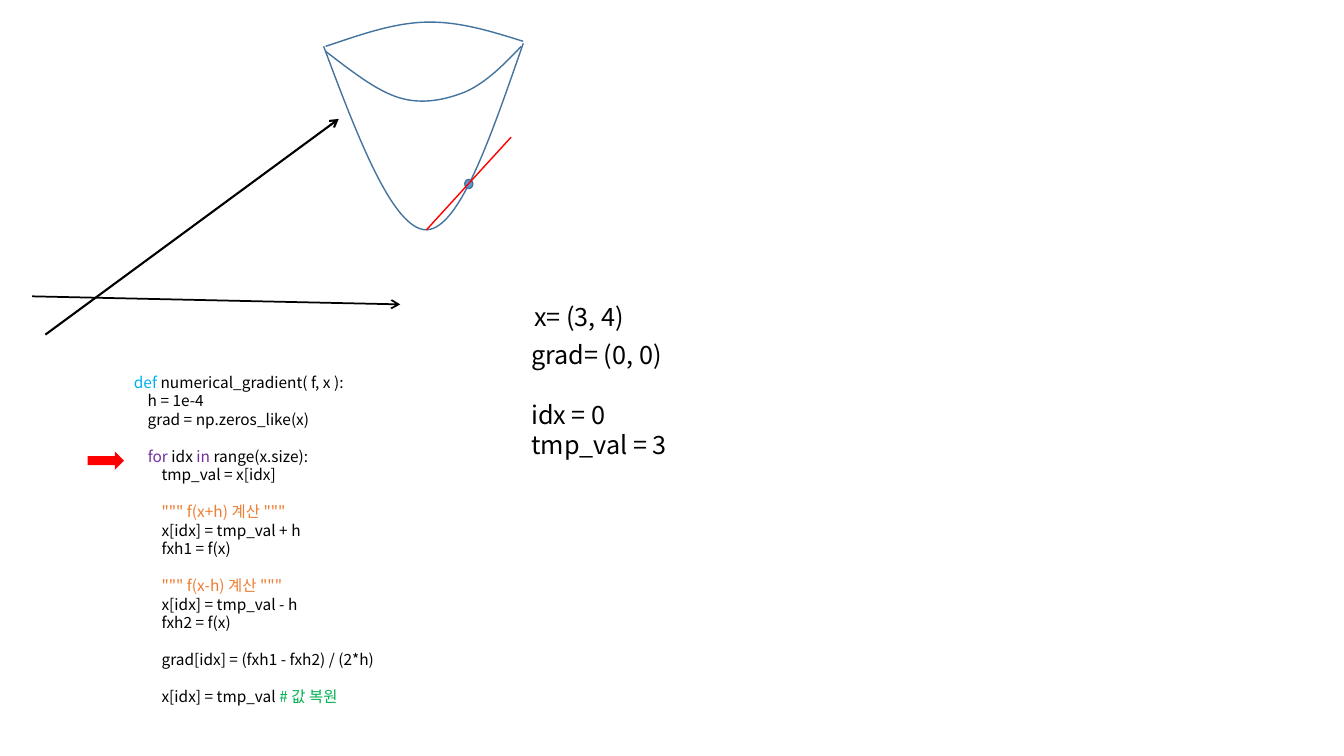
from collections import namedtuple
from dataclasses import dataclass

from lxml import etree
from pptx import Presentation
from pptx import util as u
from pptx.dml.color import RGBColor
from pptx.enum import shapes, text
from pptx.oxml.ns import qn

PX = 9144  # EMU in one px, 100 px to the inch
Box = namedtuple("Box", "left top width height")


@dataclass(frozen=True)
class Theme:
    font: str = "Noto Sans CJK KR"
    ink: str = "000000"
    curve: str = "43739E"
    dot: str = "5B9BD5"
    accent: str = "FF0000"
    define: str = "00B0F0"
    keyword: str = "7030A0"
    docstring: str = "ED7D31"
    remark: str = "00B050"
    code_size: float = 11
    code_pitch: float = 13.2
    value_size: float = 18
    value_pitch: float = 21.5


THEME = Theme()

# Lines of (has a gap above, [(wording, colour), ...])
CODE = [
    (False, [("def ", THEME.define), ("numerical_gradient( f, x ):", THEME.ink)]),
    (False, [("    h = 1e-4", THEME.ink)]),
    (False, [("    grad = np.zeros_like(x)", THEME.ink)]),
    (True, [("    ", THEME.ink), ("for ", THEME.keyword), ("idx ", THEME.ink),
            ("in", THEME.keyword), (" range(x.size):", THEME.ink)]),
    (False, [("        tmp_val = x[idx]", THEME.ink)]),
    (True, [('        """ f(x+h) 계산 """', THEME.docstring)]),
    (False, [("        x[idx] = tmp_val + h", THEME.ink)]),
    (False, [("        fxh1 = f(x)", THEME.ink)]),
    (True, [('        """ f(x-h) 계산 """', THEME.docstring)]),
    (False, [("        x[idx] = tmp_val - h", THEME.ink)]),
    (False, [("        fxh2 = f(x)", THEME.ink)]),
    (True, [("        grad[idx] = (fxh1 - fxh2) / (2*h)", THEME.ink)]),
    (True, [("        x[idx] = tmp_val ", THEME.ink), ("# 값 복원", THEME.remark)]),
]
POINT = [(False, [("x= (3, 4)", THEME.ink)])]
STATE = [
    (False, [("grad= (0, 0)", THEME.ink)]),
    (True, [("idx = 0", THEME.ink)]),
    (False, [("tmp_val = 3", THEME.ink)]),
]

# Bezier points, three after the start for each stretch
BOWL_CURVES = [
    [(289, 24), (323, 115), (358, 206), (391, 206),
     (424, 205), (455, 113), (487, 21)],
    [(291, 29), (316, 48), (341, 68), (364, 75), (387, 82),
     (410, 77), (430, 69), (450, 60), (468, 42), (485, 24)],
    [(291, 24), (324, 13), (357, 1), (390, 0),
     (423, -1), (455, 9), (487, 19)],
]


def rgb(colour):
    return RGBColor.from_string(colour)


def set_line(line, colour, width):
    line.color.rgb = rgb(colour)
    line.width = u.Pt(width)


def add_preset(slide, preset, box, fill, outline=None):
    mark = slide.shapes.add_shape(preset, *(n * PX for n in box))
    mark.shadow.inherit = False
    mark.fill.solid()
    mark.fill.fore_color.rgb = rgb(fill)
    if outline:
        set_line(mark.line, outline, 1)
    else:
        mark.line.fill.background()


def add_straight(slide, box, start, end, colour, width, arrow=False):
    ends = [(box.left + x, box.top + y) for x, y in (start, end)]
    straight = slide.shapes.add_connector(
        shapes.MSO_CONNECTOR.STRAIGHT, *(n * PX for point in ends for n in point))
    set_line(straight.line, colour, width)
    properties = straight._element.spPr
    if arrow:
        etree.SubElement(properties.find(qn("a:ln")), qn("a:tailEnd"), type="arrow")
    etree.SubElement(properties, qn("a:effectLst"))


def add_curve(slide, box, points):
    builder = slide.shapes.build_freeform(*points[0], scale=PX)
    builder.add_line_segments(points[1:], close=False)
    curve = builder.convert_to_shape(box.left * PX, box.top * PX)
    curve.shadow.inherit = False
    curve.fill.background()
    set_line(curve.line, THEME.curve, 1)
    # Join each three straight segments into one Bezier stretch
    outline = curve._element.find(".//" + qn("a:path"))
    segments = outline.findall(qn("a:lnTo"))
    for first in range(0, len(segments), 3):
        stretch = etree.SubElement(outline, qn("a:cubicBezTo"))
        for segment in segments[first:first + 3]:
            stretch.append(segment[0])
            outline.remove(segment)


def add_lines(slide, box, lines, size, pitch):
    frame = slide.shapes.add_textbox(*(n * PX for n in box)).text_frame
    frame.word_wrap = True
    frame.auto_size = text.MSO_AUTO_SIZE.NONE
    for number, (gap, runs) in enumerate(lines):
        line = frame.add_paragraph() if number else frame.paragraphs[0]
        spacing = {"line_spacing": u.Pt(pitch),
                   "space_before": u.Pt(pitch if gap else 0)}
        for name, value in spacing.items():
            setattr(line, name, value)
        for wording, colour in runs:
            run = line.add_run()
            run.text = wording
            for name, value in {"name": THEME.font, "size": u.Pt(size)}.items():
                setattr(run.font, name, value)
            run.font.color.rgb = rgb(colour)
            etree.SubElement(run._r.get_or_add_rPr(), qn("a:ea"), typeface=THEME.font)


def draw_surface(slide, box):
    # Axes
    add_straight(slide, box, (13, 310), (304, 96), THEME.ink, 1.5, arrow=True)
    add_straight(slide, box, (0, 272), (365, 280), THEME.ink, 1.25, arrow=True)
    # Bowl
    for points in BOWL_CURVES:
        add_curve(slide, box, points)
    # Point and its tangent
    add_preset(slide, shapes.MSO_SHAPE.OVAL,
               Box(box.left + 429, box.top + 156, 8, 9), THEME.dot, THEME.curve)
    add_straight(slide, box, (475, 114), (391, 206), THEME.accent, 1)


def draw_code(slide, box):
    margin = 36
    add_lines(slide, Box(box.left + margin, box.top, box.width - margin, box.height),
              CODE, THEME.code_size, THEME.code_pitch)
    # Marker of the current line
    add_preset(slide, shapes.MSO_SHAPE.RIGHT_ARROW,
               Box(box.left, box.top + 83, margin, 18), THEME.accent)


def draw_values(slide, box):
    add_lines(slide, Box(box.left + 3, box.top, 121, 40),
              POINT, THEME.value_size, THEME.value_pitch)
    add_lines(slide, Box(box.left, box.top + 38, box.width, box.height - 38),
              STATE, THEME.value_size, THEME.value_pitch)


def main():
    deck = Presentation()
    deck.slide_width, deck.slide_height = 1333 * PX, 750 * PX
    slide = deck.slides.add_slide(deck.slide_layouts[6])
    draw_surface(slide, Box(32, 22, 487, 310))
    draw_code(slide, Box(87, 365, 405, 362))
    draw_values(slide, Box(517, 294, 211, 200))
    deck.save("out.pptx")


if __name__ == "__main__":
    main()
